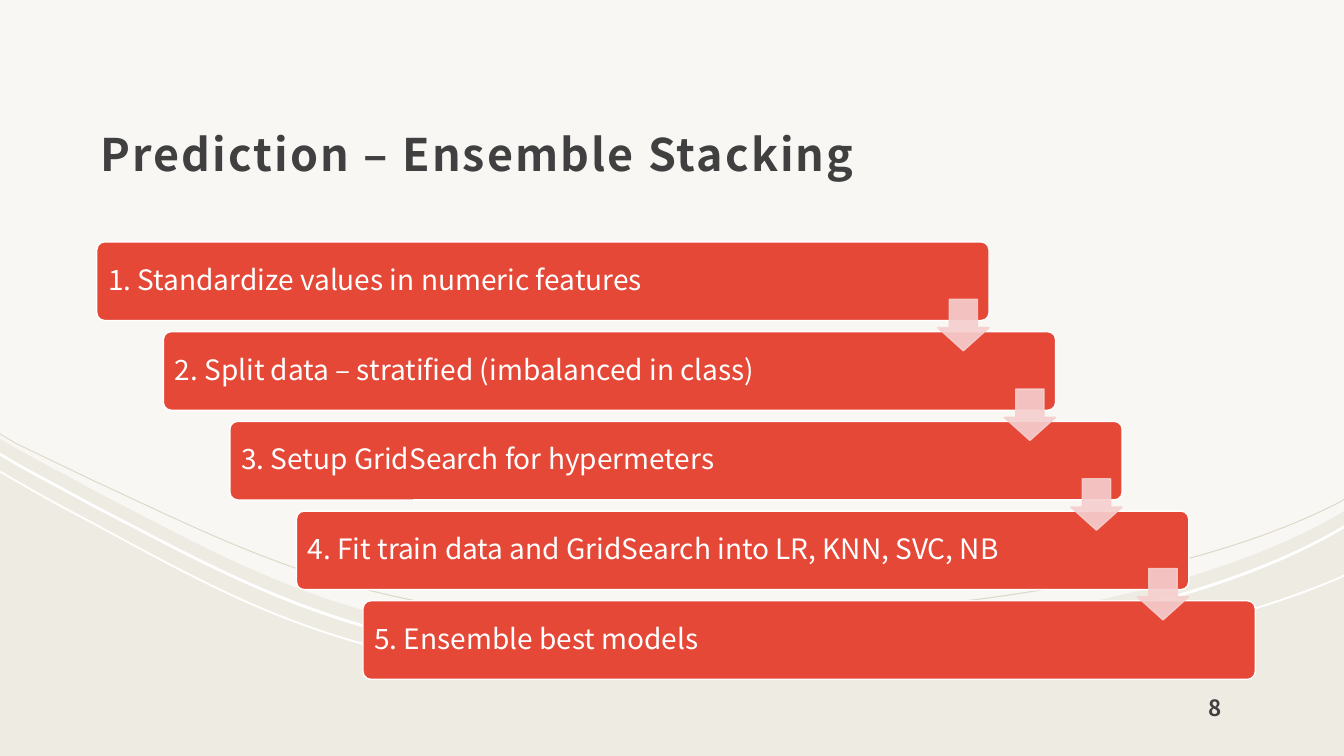
"""Build the ensemble stacking slide: five stepped bars over a curved backdrop."""
from dataclasses import dataclass

from lxml import etree
from pptx import Presentation
from pptx import util as u
from pptx.dml import color
from pptx.enum import shapes, text
from pptx.oxml import ns

Point = tuple[float, float]

SAND = color.RGBColor(0xEE, 0xEB, 0xE2)
TAUPE = color.RGBColor(0xDD, 0xD7, 0xC5)
WHITE = color.RGBColor(0xFF, 0xFF, 0xFF)
RED = color.RGBColor(0xE5, 0x48, 0x37)
PINK = color.RGBColor(0xF5, 0xCF, 0xCE)
CHARCOAL = color.RGBColor(0x40, 0x40, 0x40)
FONT = "Noto Sans CJK JP"
SLIDE_W, SLIDE_H = 13.33, 7.5

STEPS = [
    "1. Standardize values in numeric features",
    "2. Split data – stratified (imbalanced in class)",
    "3. Setup GridSearch for hypermeters",
    "4. Fit train data and GridSearch into LR, KNN, SVC, NB",
    "5. Ensemble best models",
]
STEP_DX, STEP_DY = 0.66, 0.89


@dataclass(frozen=True)
class Box:
    left: float
    top: float
    width: float
    height: float

    def shifted(self, dx: float, dy: float) -> "Box":
        return Box(self.left + dx, self.top + dy, self.width, self.height)

    def emu(self) -> list[int]:
        return [u.Inches(v) for v in (self.left, self.top, self.width, self.height)]


@dataclass(frozen=True)
class Wave:
    """A right-to-left edge: start, Bezier knots with their handles, end."""
    start: Point
    beziers: list[Point]
    end: Point

    def points(self, dy: float = 0) -> list[Point]:
        return [(x, y + dy) for x, y in (self.start, *self.beziers, self.end)]


PANEL_EDGE = Wave((SLIDE_W, 5.07), [
    (13.3, 5.09), (11.87, 5.93), (9.26, 6.4), (6.29, 6.4), (3.67, 6.4), (2.44, 5.64),
    (0.94, 4.87), (0.67, 4.72), (0.4, 4.58), (0.15, 4.44)], (0, 4.35))
LOW_EDGE = Wave((SLIDE_W, 5.72), [
    (13.29, 5.74), (11.67, 6.44), (9.07, 6.8), (6.18, 6.74), (3.46, 6.69), (2.27, 5.92),
    (0.79, 5.13), (0.52, 4.99), (0.26, 4.84), (0.02, 4.7)], (0, 4.69))
HIGH_EDGE = Wave((SLIDE_W, 4.96), [
    (13.3, 4.98), (11.87, 5.73), (9.26, 6.16), (6.29, 6.16), (3.67, 6.16), (2.44, 5.47),
    (0.94, 4.78), (0.67, 4.65), (0.4, 4.52), (0.15, 4.4)], (0, 4.31))

TITLE = Box(0.88, 0.42, 11.57, 1.47)
FIRST_BAR = Box(0.96, 2.4, 8.85, 0.78)
FIRST_ARROW = Box(9.3, 2.97, 0.51, 0.51)
PAGE_NUMBER = Box(11.87, 6.75, 1.3, 0.5)


def set_fill(fill, rgb: color.RGBColor, opacity: int = 100) -> None:
    fill.solid()
    fill.fore_color.rgb = rgb
    if opacity < 100:
        tint = fill.fore_color._xFill.find(ns.qn("a:srgbClr"))
        etree.SubElement(tint, ns.qn("a:alpha"), val=str(opacity * 1000))


def bend(segments: list) -> None:
    """Merge each three straight segments into one Bezier curve."""
    for first in range(0, len(segments), 3):
        lead, *others = segments[first:first + 3]
        lead.tag = ns.qn("a:cubicBezTo")
        for other in others:
            lead.append(other[0])
            other.getparent().remove(other)


def draw_outline(slide, points: list[Point], curve_starts: list[int],
                 rgb: color.RGBColor, opacity: int = 100) -> None:
    corners = [(u.Inches(x), u.Inches(y)) for x, y in points]
    builder = slide.shapes.build_freeform(*corners[0])
    builder.add_line_segments(corners[1:], close=True)
    outline = builder.convert_to_shape()
    outline.shadow.inherit = False
    set_fill(outline.fill, rgb, opacity)
    outline.line.fill.background()
    segments = list(outline._element.iter(ns.qn("a:lnTo")))
    for start in curve_starts:
        bend(segments[start:start + 9])


def draw_ribbon(slide, edge: Wave, rgb: color.RGBColor, thickness: float,
                dy: float = 0) -> None:
    lower, upper = edge.points(dy), edge.points(dy - thickness)[::-1]
    draw_outline(slide, lower + upper, [1, len(lower) + 1], rgb)


def draw_shape(slide, kind, box: Box, adjustments: list[float], fill: color.RGBColor,
               line: color.RGBColor, opacity: int = 100):
    shape = slide.shapes.add_shape(kind, *box.emu())
    shape.shadow.inherit = False
    for index, value in enumerate(adjustments):
        shape.adjustments[index] = value
    set_fill(shape.fill, fill, opacity)
    set_fill(shape.line.fill, line, opacity)
    shape.line.width = u.Pt(1)
    return shape


def write(shape, words: str, *, size: float, rgb: color.RGBColor, bold: bool = False,
          anchor=text.MSO_ANCHOR.BOTTOM, inset: float = 0.12, bottom: float = 0.1,
          line_spacing: float = 1.0, tracking: float = 0) -> None:
    frame = shape.text_frame
    frame.word_wrap = True
    frame.vertical_anchor = anchor
    frame.margin_left = frame.margin_right = frame.margin_top = u.Inches(inset)
    frame.margin_bottom = u.Inches(bottom)
    paragraph = frame.paragraphs[0]
    paragraph.alignment = text.PP_ALIGN.LEFT
    paragraph.line_spacing = line_spacing
    run = paragraph.add_run()
    run.text = words
    run.font.name, run.font.size, run.font.bold = FONT, u.Pt(size), bold
    run.font.color.rgb = rgb
    if tracking:
        run.font._element.set("spc", str(int(tracking * 100)))


def draw_backdrop(slide) -> None:
    set_fill(slide.background.fill, SAND)
    draw_outline(slide, [(0, 0), (SLIDE_W, 0)] + PANEL_EDGE.points(), [3], WHITE, 60)
    draw_ribbon(slide, LOW_EDGE, WHITE, 0.02)
    draw_ribbon(slide, PANEL_EDGE, WHITE, 0.03, dy=0.17)
    draw_ribbon(slide, HIGH_EDGE, TAUPE, 0.01)


def draw_steps(slide) -> None:
    offsets = [(i * STEP_DX, i * STEP_DY) for i in range(len(STEPS))]
    for words, offset in zip(STEPS, offsets):
        bar = draw_shape(slide, shapes.MSO_SHAPE.ROUNDED_RECTANGLE,
                         FIRST_BAR.shifted(*offset), [0.1], RED, WHITE)
        write(bar, words, size=20, rgb=WHITE, anchor=text.MSO_ANCHOR.MIDDLE,
              inset=0.09, bottom=0.09, line_spacing=0.9)
    for offset in offsets[:-1]:
        draw_shape(slide, shapes.MSO_SHAPE.DOWN_ARROW, FIRST_ARROW.shifted(*offset),
                   [0.55, 0.45], PINK, PINK, 90)


def main() -> None:
    deck = Presentation()
    deck.slide_width, deck.slide_height = u.Inches(SLIDE_W), u.Inches(SLIDE_H)
    slide = deck.slides.add_slide(deck.slide_layouts[6])
    draw_backdrop(slide)
    write(slide.shapes.add_textbox(*TITLE.emu()), "Prediction – Ensemble Stacking",
          size=32, rgb=CHARCOAL, bold=True, line_spacing=1.3, tracking=1.5)
    draw_steps(slide)
    write(slide.shapes.add_textbox(*PAGE_NUMBER.emu()), "8", size=16, rgb=CHARCOAL, bold=True)
    deck.save("out.pptx")


if __name__ == "__main__":
    main()
